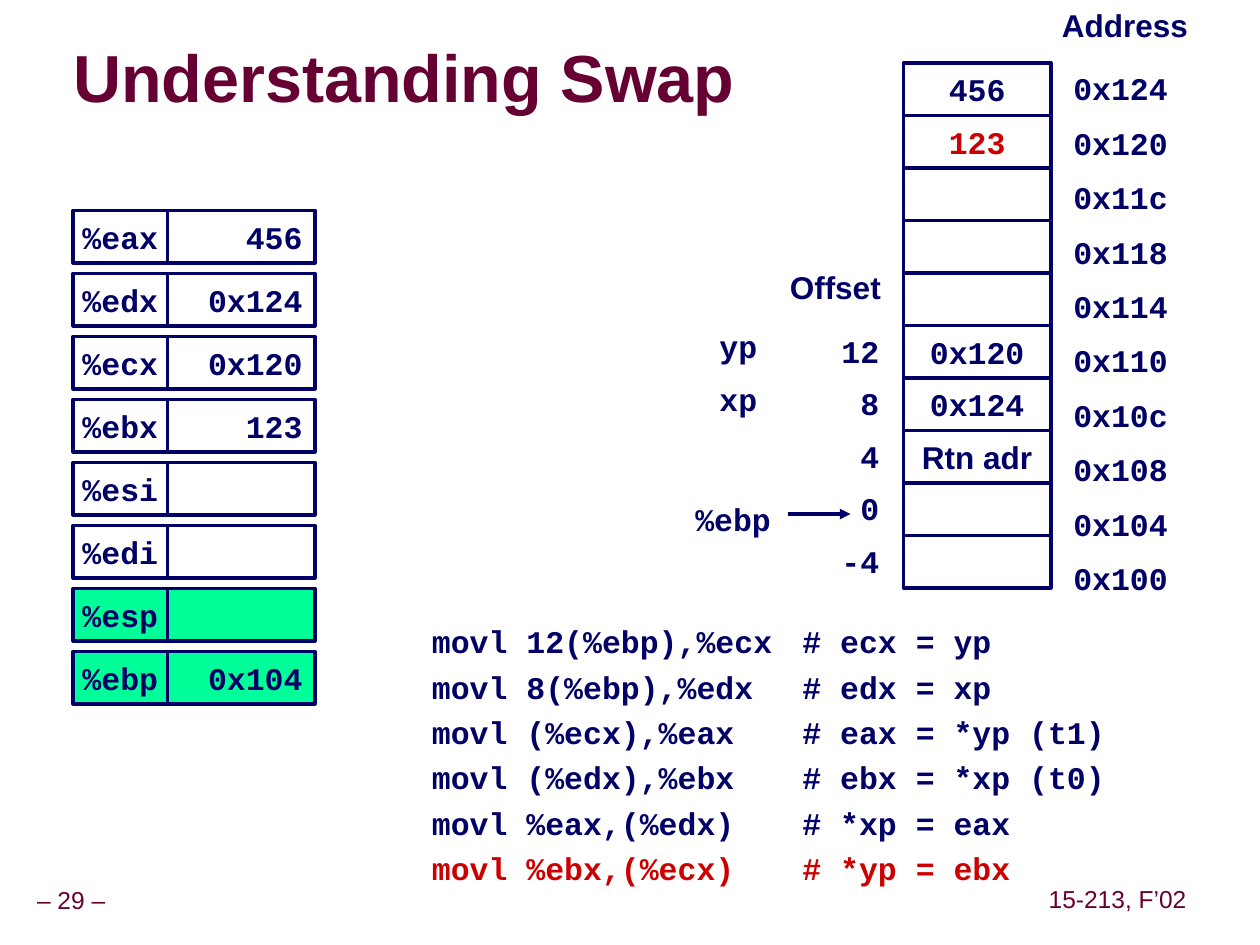
from lxml import etree
from pptx import Presentation
from pptx import util as u
from pptx.dml.color import RGBColor
from pptx.enum import shapes, text
from pptx.oxml.ns import qn

COLORS = {
    "navy": "000066",
    "maroon": "660033",
    "red": "CC0000",
    "green": "00FF99",
    "white": "FFFFFF",
    "shade": "969696",
}
SANS, MONO = "Arial", "Courier New"
LEFT, CENTER, RIGHT = text.PP_ALIGN.LEFT, text.PP_ALIGN.CENTER, text.PP_ALIGN.RIGHT


def rgb(name):
    return RGBColor.from_string(COLORS[name])


class SlideBuilder:
    def __init__(self, slide):
        self.slide = slide

    def frame(self, shape, margins, wrap, anchor):
        frame = shape.text_frame
        frame.margin_left = frame.margin_right = u.Inches(margins[0])
        frame.margin_top = frame.margin_bottom = u.Inches(margins[1])
        frame.word_wrap = wrap
        frame.vertical_anchor = anchor
        return frame

    def run(self, paragraph, words, font=MONO, size=18, color="navy", bold=True):
        run = paragraph.add_run()
        run.text = words
        run.font.name = font
        run.font.size = u.Pt(size)
        run.font.bold = bold
        run.font.color.rgb = rgb(color)
        return run

    def label(self, words, left, top, width, height=0.4, align=LEFT, spacing=1.0,
              margins=(0.1, 0.05), wrap=False, anchor=text.MSO_ANCHOR.TOP, **style):
        box = self.slide.shapes.add_textbox(*map(u.Inches, (left, top, width, height)))
        frame = self.frame(box, margins, wrap, anchor)
        if not wrap:
            frame.auto_size = text.MSO_AUTO_SIZE.SHAPE_TO_FIT_TEXT
        paragraph = frame.paragraphs[0]
        paragraph.alignment = align
        paragraph.line_spacing = spacing
        return self.run(paragraph, words, **style)

    def title(self, words, left, top, width, height):
        run = self.label(words, left, top, width, height, spacing=0.87, margins=(0, 0), wrap=True,
                         anchor=text.MSO_ANCHOR.MIDDLE, font=SANS, size=38, color="maroon")
        effects = etree.Element(qn("a:effectLst"))
        shadow = etree.SubElement(effects, qn("a:outerShdw"), dist="53882", dir="2700000")
        etree.SubElement(shadow, qn("a:srgbClr"), val=COLORS["shade"])
        run.font.fill._xPr.find(qn("a:solidFill")).addnext(effects)

    def cell(self, words, left, top, width, height, align=CENTER, fill="white", parent=None, **style):
        owner = parent or self.slide
        box = owner.shapes.add_shape(shapes.MSO_SHAPE.RECTANGLE,
                                     *map(u.Inches, (left, top, width, height)))
        box.shadow.inherit = False
        box.fill.solid()
        box.fill.fore_color.rgb = rgb(fill)
        box.line.color.rgb = rgb("navy")
        box.line.width = u.Pt(2)
        if words:
            frame = self.frame(box, (0.1, 0.05), False, text.MSO_ANCHOR.MIDDLE)
            frame.paragraphs[0].alignment = align
            self.run(frame.paragraphs[0], words, **style)

    def arrow(self, x1, y1, x2, y2):
        line = self.slide.shapes.add_connector(shapes.MSO_CONNECTOR.STRAIGHT,
                                               *map(u.Inches, (x1, y1, x2, y2)))
        line.line.color.rgb = rgb("navy")
        line.line.width = u.Pt(2)
        etree.SubElement(line.line._get_or_add_ln(), qn("a:tailEnd"), type="triangle")
        etree.SubElement(line._element.spPr, qn("a:effectLst"))

    def code(self, lines, left, top, width, height, tabs):
        box = self.slide.shapes.add_textbox(*map(u.Inches, (left, top, width, height)))
        frame = self.frame(box, (0.1, 0.05), True, text.MSO_ANCHOR.TOP)
        for index, (instruction, comment, color) in enumerate(lines):
            paragraph = frame.add_paragraph() if index else frame.paragraphs[0]
            stops = etree.SubElement(paragraph._p.get_or_add_pPr(), qn("a:tabLst"))
            for stop in tabs:
                etree.SubElement(stops, qn("a:tab"), pos=str(u.Inches(stop)), algn="l")
            paragraph.line_spacing = 1.2
            self.run(paragraph, f"\t{instruction}\t{comment}", color=color)


def main():
    deck = Presentation()
    deck.slide_width, deck.slide_height = u.Inches(10), u.Inches(7.5)
    page = SlideBuilder(deck.slides.add_slide(deck.slide_layouts[6]))

    for words, left, top, width in (("– 29 –", -0.09, 7, 1.31), ("15-213, F’02", 8.27, 6.99, 1.2)):
        page.label(words, left, top, width, 0.31, CENTER, 0.9, (0.05, 0.05),
                   anchor=text.MSO_ANCHOR.MIDDLE, font=SANS, size=14, color="maroon", bold=False)
    page.title("Understanding Swap", 0.58, 0.33, 6.97, 0.63)

    page.code([
        ("movl 12(%ebp),%ecx", "# ecx = yp", "navy"),
        ("movl 8(%ebp),%edx", "# edx = xp", "navy"),
        ("movl (%ecx),%eax", "# eax = *yp (t1)", "navy"),
        ("movl (%edx),%ebx", "# ebx = *xp (t0)", "navy"),
        ("movl %eax,(%edx)", "# *xp = eax", "navy"),
        ("movl %ebx,(%ecx)", "# *yp = ebx", "red"),
    ], 2.83, 4.83, 6.5, 2.26, (0.5, 3.44))

    cell_height = 1.25 / 3
    stack_top = 0.5
    stack = ["456", "123", "", "", "", "0x120", "0x124", "Rtn adr", "", ""]
    for row, value in enumerate(stack):
        page.cell(value, 7.17, stack_top + row * cell_height, 1.17, cell_height,
                  font=SANS if value == "Rtn adr" else MONO,
                  color="red" if value == "123" else "navy")

    page.label("Address", 8.33, 0, 1.2, font=SANS)
    address_step = 3.89 / 9
    for row in range(len(stack)):
        page.label(f"0x{0x124 - 4 * row:x}", 8.42, stack_top + row * address_step, 1.33, wrap=True)

    page.label("Offset", 6.17, 2.08, 0.92, font=SANS)
    frame_top = stack_top + 5 * cell_height
    for row, offset in enumerate(range(12, -5, -4)):
        page.label(f"{offset:>2}", 6.58, frame_top + row * cell_height, 0.65)
    for row, argument in enumerate(("yp", "xp")):
        page.label(argument, 5.5, frame_top + row * cell_height, 0.72, 0.37, CENTER, 0.9,
                   (0.05, 0.05), wrap=True)
    page.label("%ebp", 5.42, 3.92, 0.8)
    page.arrow(6.25, 4.08, 6.75, 4.08)

    registers = {
        "%eax": "456", "%edx": "0x124", "%ecx": "0x120", "%ebx": "123",
        "%esi": "", "%edi": "", "%esp": "", "%ebp": "0x104",
    }
    columns = (
        (list(registers), 0.58, 0.75, CENTER),
        (list(registers.values()), 1.33, 1.17, RIGHT),
    )
    for entries, left, width, align in columns:
        group = page.slide.shapes.add_group_shape()
        for row, entry in enumerate(entries):
            page.cell(entry, left, 1.67 + row * 0.5, width, cell_height, align,
                      "green" if row >= 6 else "white", group)

    deck.save("out.pptx")


if __name__ == "__main__":
    main()
